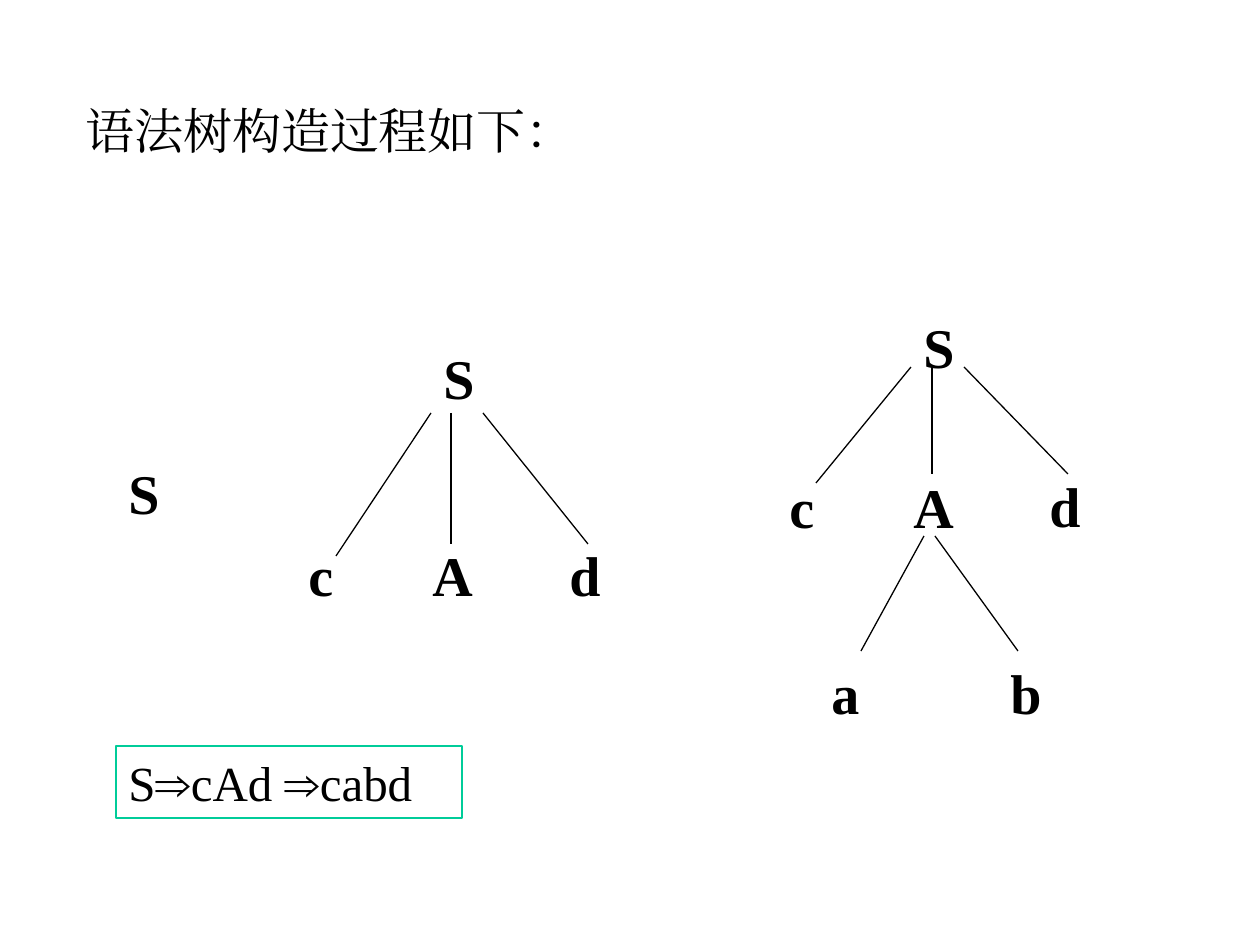
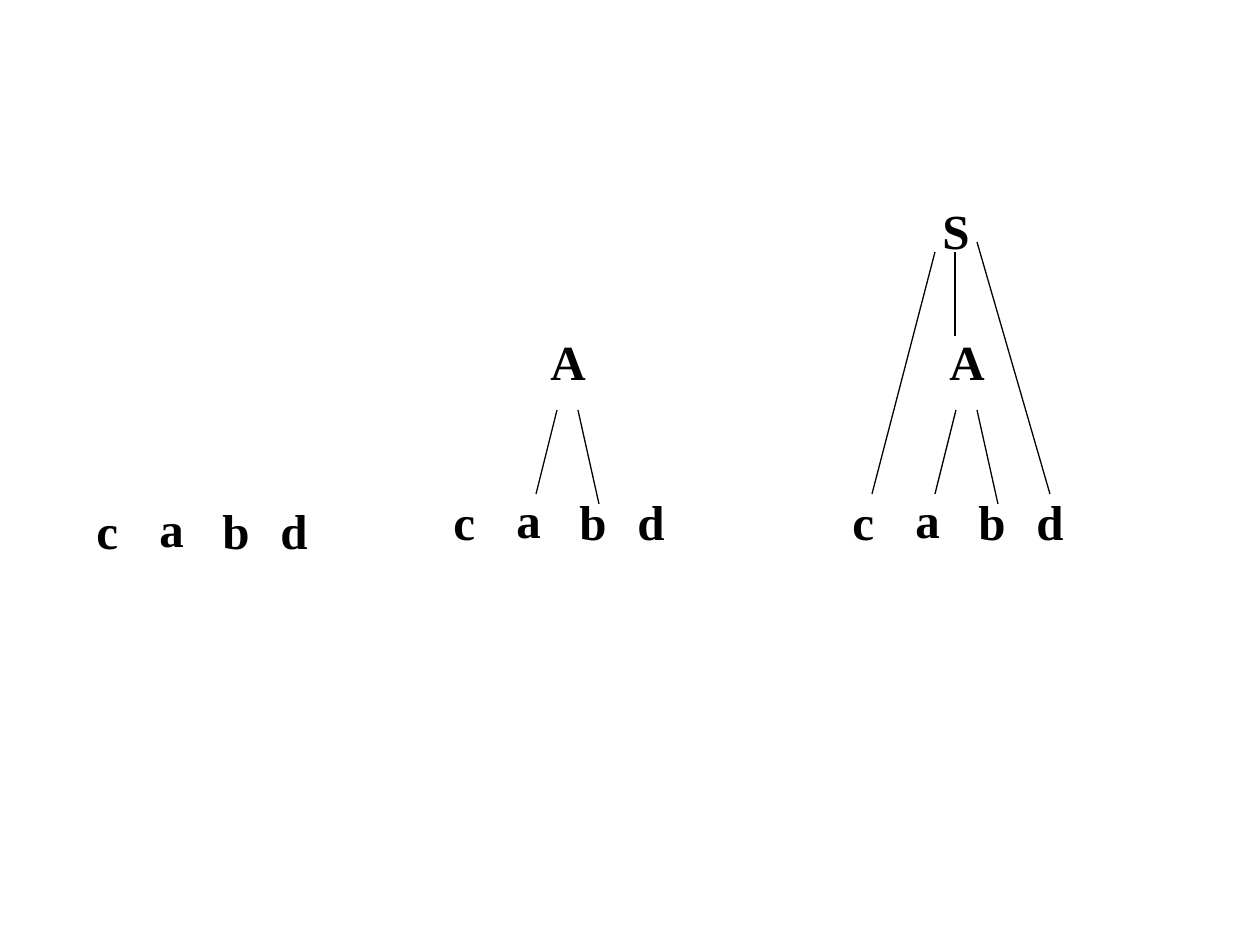
"""Build two slides that grow syntax trees top-down and bottom-up."""
from typing import NamedTuple

from lxml.etree import SubElement
from pptx import Presentation
from pptx.dml.color import RGBColor
from pptx.enum.shapes import MSO_CONNECTOR, MSO_SHAPE
from pptx.enum.text import MSO_ANCHOR, PP_ALIGN
from pptx.oxml.ns import qn
from pptx.util import Emu, Pt

PX_PER_INCH = 126
INK = RGBColor(0x00, 0x00, 0x00)
FRAME = RGBColor(0x00, 0xCC, 0x99)
SERIF = "Times New Roman"
SANS = "Arial"
ARROW = "⇒"
LINE_WIDTH = Pt(0.75)


class Box(NamedTuple):
    left: int
    top: int
    width: int
    height: int


class Node(NamedTuple):
    symbol: str
    left: int
    top: int


class Branch(NamedTuple):
    x1: int
    y1: int
    x2: int
    y2: int


class LetterStyle(NamedTuple):
    size: int
    width: int
    height: int


class Tree(NamedTuple):
    nodes: list[Node]
    branches: list[Branch]


LARGE = LetterStyle(32, 84, 81)
SMALL = LetterStyle(28, 63, 72)

TOP_DOWN = [
    Tree([Node("S", 116, 451)], []),
    Tree(
        [Node("S", 431, 336), Node("c", 296, 533), Node("A", 420, 533), Node("d", 557, 533)],
        [Branch(451, 413, 451, 544), Branch(431, 413, 336, 556), Branch(483, 413, 588, 544)],
    ),
    Tree(
        [Node("S", 911, 305), Node("c", 777, 465), Node("A", 901, 465), Node("d", 1037, 464),
         Node("a", 819, 651), Node("b", 998, 651)],
        [Branch(932, 367, 932, 474), Branch(911, 367, 816, 483), Branch(964, 367, 1068, 474),
         Branch(924, 536, 861, 651), Branch(935, 536, 1018, 651)],
    ),
]

LEAVES = Tree([Node("c", 0, 0), Node("a", 63, -2), Node("b", 126, 0), Node("d", 184, 0)], [])
REDUCED_A = Tree(
    [Node("A", 97, -160)],
    [Branch(116, -75, 95, 9), Branch(137, -75, 158, 19)],
)
REDUCED_S = Tree(
    [Node("S", 90, -291)],
    [Branch(95, -233, 32, 9), Branch(137, -243, 210, 9), Branch(115, -233, 115, -149)],
)


def px(length: int) -> Emu:
    """Turn px into EMU."""
    return Emu(round(length * 914400 / PX_PER_INCH))


def add_text(slide, text: str, box: Box, *, size: int, bold: bool = False,
             frame: RGBColor | None = None) -> None:
    """Write one line of text, framed when a frame colour is given."""
    place = [px(length) for length in box]
    if frame is None:
        holder = slide.shapes.add_textbox(*place)
    else:
        holder = slide.shapes.add_shape(MSO_SHAPE.RECTANGLE, *place)
        holder.shadow.inherit = False
        holder.fill.background()
        holder.line.color.rgb = frame
        holder.line.width = LINE_WIDTH
    body = holder.text_frame
    body.word_wrap = True
    body.vertical_anchor = MSO_ANCHOR.BOTTOM
    line = body.paragraphs[0]
    line.alignment = PP_ALIGN.LEFT
    for piece in text.replace(ARROW, f"|{ARROW}|").split("|"):
        run = line.add_run()
        run.text = piece
        run.font.size = Pt(size)
        run.font.bold = bold
        run.font.color.rgb = INK
        run.font.name = SANS if piece == ARROW else SERIF
        SubElement(run.font._element, qn("a:ea"), typeface=run.font.name)


def add_branch(slide, branch: Branch) -> None:
    """Draw one tree edge."""
    edge = slide.shapes.add_connector(MSO_CONNECTOR.STRAIGHT, *[px(end) for end in branch])
    edge.line.color.rgb = INK
    edge.line.width = LINE_WIDTH
    SubElement(edge._element.spPr, qn("a:effectLst"))


def add_tree(slide, tree: Tree, style: LetterStyle, left: int = 0, top: int = 0) -> None:
    """Draw the edges and symbols of a tree, moved by left and top."""
    for x1, y1, x2, y2 in tree.branches:
        add_branch(slide, Branch(x1 + left, y1 + top, x2 + left, y2 + top))
    for node in tree.nodes:
        box = Box(node.left + left, node.top + top, style.width, style.height)
        add_text(slide, node.symbol, box, size=style.size, bold=True)


def build_top_down(slide) -> None:
    """Show the tree growing from the start symbol."""
    add_text(slide, "语法树构造过程如下：", Box(73, 94, 966, 72), size=28)
    for tree in TOP_DOWN:
        add_tree(slide, tree, LARGE)
    add_text(slide, "S⇒cAd ⇒cabd", Box(116, 746, 346, 72), size=28, frame=FRAME)


def build_bottom_up(slide) -> None:
    """Show the sentence being reduced to the start symbol."""
    stages = [
        (84, 494, [LEAVES]),
        (441, 485, [LEAVES, REDUCED_A]),
        (840, 485, [LEAVES, REDUCED_A, REDUCED_S]),
    ]
    for left, top, layers in stages:
        for layer in layers:
            add_tree(slide, layer, SMALL, left, top)


def main() -> None:
    """Build and save the slides."""
    deck = Presentation()
    deck.slide_width, deck.slide_height = px(1260), px(945)
    blank = deck.slide_layouts[6]
    for build in (build_top_down, build_bottom_up):
        build(deck.slides.add_slide(blank))
    deck.save("out.pptx")


if __name__ == "__main__":
    main()
